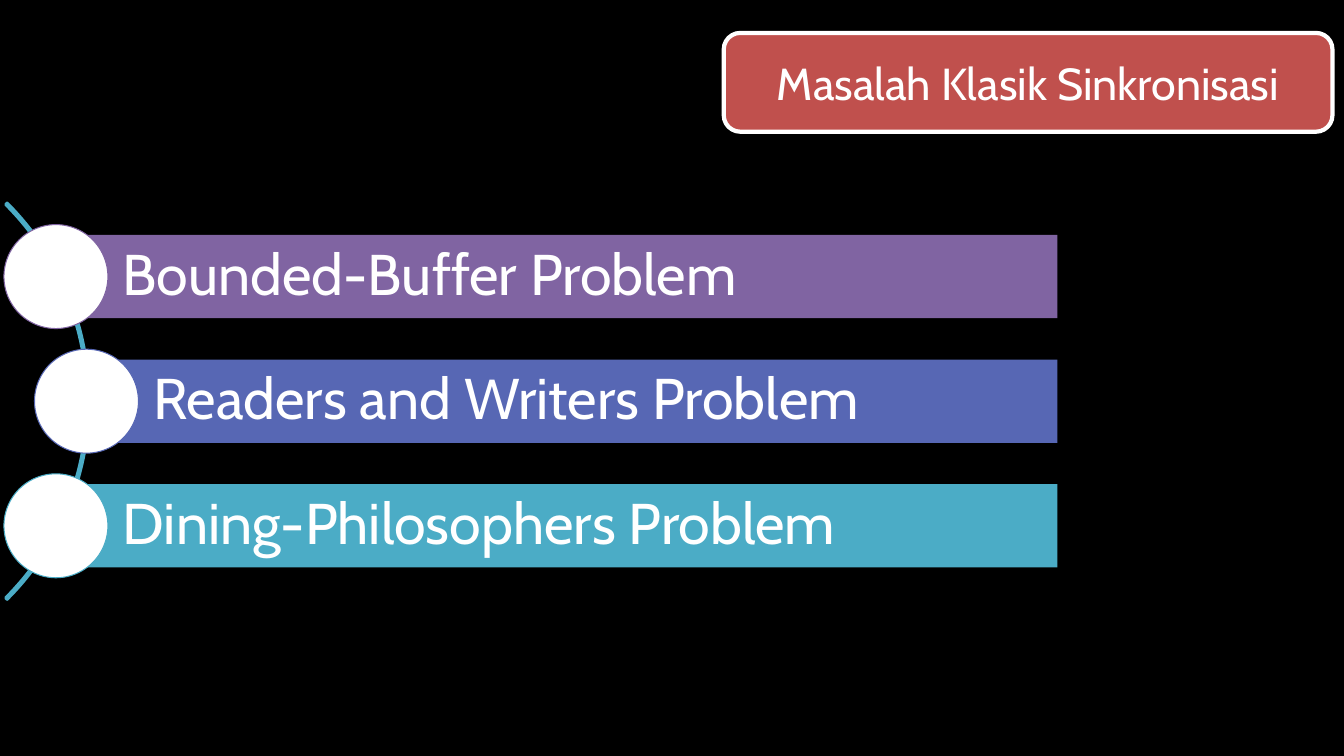
"""Build the slide on the classic problems of synchronisation."""
from pptx import Presentation
from pptx.dml.color import RGBColor
from pptx.enum.shapes import MSO_SHAPE as Preset
from pptx.enum.text import MSO_ANCHOR as Anchor, PP_ALIGN as Align
from pptx.util import Cm, Pt

TITLE = "Masalah Klasik Sinkronisasi"
PROBLEMS = [
    ("Bounded-Buffer Problem", "purple", 1.41),
    ("Readers and Writers Problem", "blue", 2.18),
    ("Dining-Philosophers Problem", "teal", 1.41),
]
COLORS = {
    "black": "000000",
    "white": "FFFFFF",
    "red": "C0504D",
    "purple": "8064A2",
    "blue": "5767B4",
    "teal": "4BACC6",
}
FONT = "Cabin"
TITLE_BOX = (18.24, 0.83, 15.34, 2.49)
MIDDLE = 10.11
PITCH = 3.14
BAR_RIGHT, BAR_HEIGHT = 26.65, 2.1
CIRCLE_SIZE = 2.62
ARC_LEFT, ARC_SIZE = -11.88, 14.13


def color(name):
    return RGBColor.from_string(COLORS[name])


def add_shape(slide, preset, box, fill=None, line=None, width=0.75):
    shape = slide.shapes.add_shape(preset, *map(Cm, box))
    shape.shadow.inherit = False
    if fill:
        shape.fill.solid()
        shape.fill.fore_color.rgb = color(fill)
    else:
        shape.fill.background()
    if line:
        shape.line.color.rgb = color(line)
        shape.line.width = Pt(width)
    else:
        shape.line.fill.background()
    return shape


def write(shape, text, size, align):
    frame = shape.text_frame
    frame.text = text
    frame.word_wrap = True
    frame.vertical_anchor = Anchor.MIDDLE
    paragraph = frame.paragraphs[0]
    paragraph.alignment = align
    font = paragraph.runs[0].font
    font.name, font.size = FONT, Pt(size)
    font.color.rgb = color("white")
    return frame


def add_title(slide):
    add_shape(slide, Preset.FLOWCHART_ALTERNATE_PROCESS, TITLE_BOX, "red", "white", 3)
    title = slide.shapes.title
    title.left, title.top, title.width, title.height = map(Cm, TITLE_BOX)
    write(title, TITLE, 32, Align.CENTER)
    title.element.getparent().append(title.element)


def add_arc(slide):
    box = (ARC_LEFT, MIDDLE - ARC_SIZE / 2, ARC_SIZE, ARC_SIZE)
    arc = add_shape(slide, Preset.BLOCK_ARC, box, line="teal", width=2)
    for index, value in enumerate((189, 27, 0.004)):
        arc.adjustments[index] = value


def add_problem(slide, index, text, accent, left):
    center = MIDDLE + (index - (len(PROBLEMS) - 1) / 2) * PITCH
    bar_box = (left, center - BAR_HEIGHT / 2, BAR_RIGHT - left, BAR_HEIGHT)
    bar = add_shape(slide, Preset.RECTANGLE, bar_box, accent)
    frame = write(bar, text, 41, Align.LEFT)
    frame.margin_left = Cm(1.68)
    frame.margin_top = frame.margin_right = frame.margin_bottom = Cm(0.28)
    frame.paragraphs[0].line_spacing = 0.9
    radius = CIRCLE_SIZE / 2
    circle_box = (left - radius, center - radius, CIRCLE_SIZE, CIRCLE_SIZE)
    add_shape(slide, Preset.OVAL, circle_box, "white", accent)


def main():
    presentation = Presentation()
    presentation.slide_width, presentation.slide_height = Cm(33.87), Cm(19.05)
    slide = presentation.slides.add_slide(presentation.slide_layouts[5])
    slide.background.fill.solid()
    slide.background.fill.fore_color.rgb = color("black")
    add_title(slide)
    add_arc(slide)
    for index, problem in enumerate(PROBLEMS):
        add_problem(slide, index, *problem)
    presentation.save("out.pptx")


if __name__ == "__main__":
    main()
